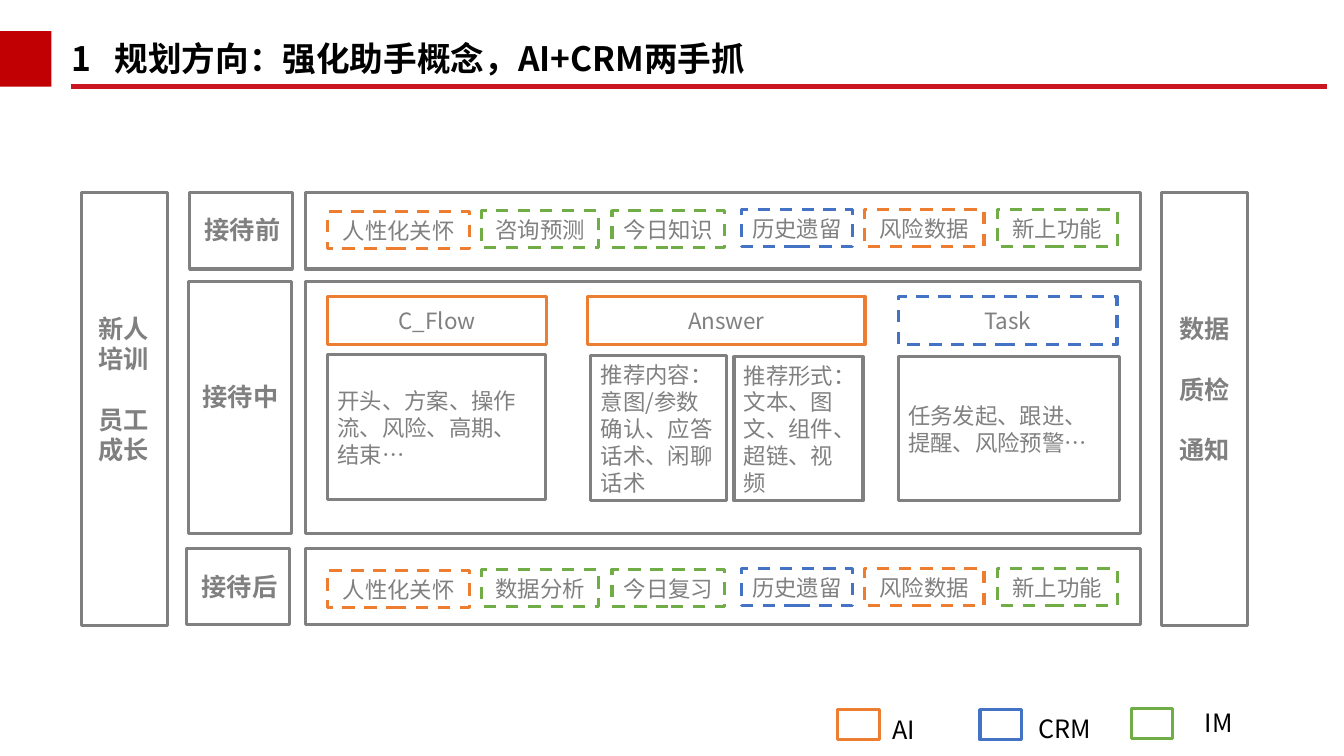
from dataclasses import dataclass

from lxml import etree
from pptx import Presentation
from pptx.dml.color import RGBColor
from pptx.enum.dml import MSO_LINE
from pptx.enum.shapes import MSO_CONNECTOR, MSO_SHAPE
from pptx.enum.text import MSO_ANCHOR, PP_ALIGN
from pptx.oxml.ns import qn
from pptx.util import Pt

PX = 9144
FONT = "Noto Sans CJK SC"
RECT = MSO_SHAPE.RECTANGLE
DASH = MSO_LINE.DASH
LEFT, MID = PP_ALIGN.LEFT, PP_ALIGN.CENTER
MIDDLE = MSO_ANCHOR.MIDDLE
HUES = {
    "ai": "ED7D31", "crm": "4472C4", "im": "70AD47", "gray": "808080",
    "side": "7F7F7F", "red": "C00002", "rule": "CA1622",
    "black": "000000", "white": "FFFFFF",
}


@dataclass
class Box:
    x: int
    y: int
    w: int
    h: int
    hue: str = "gray"
    text: str = ""
    dash: bool = False
    align: PP_ALIGN = MID


@dataclass
class Label:
    x: int
    y: int
    w: int
    h: int
    text: str
    size: int = 18
    hue: str = "gray"
    bold: bool = True
    align: PP_ALIGN = MID
    wrap: bool = True
    gap: float = 0


@dataclass
class Slot:
    x: int
    w: int
    drop: int
    hue: str


@dataclass
class Stage:
    x: int
    y: int
    h: int
    name: str
    left: int
    top: int


def color(hue: str) -> RGBColor:
    return RGBColor.from_string(HUES[hue])


def write(frame, text: str, size: int, hue: str, align: PP_ALIGN,
          bold: bool = False, gap: float = 0) -> None:
    frame.text = text
    frame.vertical_anchor = MIDDLE
    for i, para in enumerate(frame.paragraphs):
        para.alignment = align
        para.line_spacing = Pt(size * 1.2)
        para.space_before = Pt(gap if i else 0)
        for run in para.runs:
            font = run.font
            font.name, font.size, font.bold = FONT, Pt(size), bold
            font.color.rgb = color(hue)
            east = etree.SubElement(run._r.get_or_add_rPr(), qn("a:ea"))
            east.set("typeface", FONT)


def add_box(slide, box: Box):
    shape = slide.shapes.add_shape(
        RECT, box.x * PX, box.y * PX, box.w * PX, box.h * PX)
    shape.shadow.inherit = False
    shape.fill.solid()
    shape.fill.fore_color.rgb = color("white")
    shape.line.color.rgb = color(box.hue)
    shape.line.width = Pt(2.25)
    if box.dash:
        shape.line.dash_style = DASH
    if box.text:
        shape.text_frame.word_wrap = True
        write(shape.text_frame, box.text, 16, "gray", box.align)
    return shape


def add_label(slide, label: Label):
    shape = slide.shapes.add_textbox(
        label.x * PX, label.y * PX, label.w * PX, label.h * PX)
    frame = shape.text_frame
    frame.word_wrap = label.wrap
    write(frame, label.text, label.size, label.hue, label.align,
          label.bold, label.gap)
    return shape


def add_head(slide) -> None:
    rule = slide.shapes.add_connector(
        MSO_CONNECTOR.STRAIGHT, 70 * PX, 86 * PX, 1316 * PX, 86 * PX)
    rule.line.color.rgb = color("rule")
    rule.line.width = Pt(3.5)
    etree.SubElement(rule._element.spPr, qn("a:effectLst"))
    block = add_box(slide, Box(0, 31, 51, 55))
    block.fill.fore_color.rgb = color("red")
    block.line.fill.background()
    title = add_label(slide, Label(
        61, 36, 784, 43, "1\t规划方向：强化助手概念，AI+CRM两手抓",
        24, "black", align=LEFT))
    props = title.text_frame.paragraphs[0]._p.get_or_add_pPr()
    tabs = etree.SubElement(props, qn("a:tabLst"))
    tab = etree.SubElement(tabs, qn("a:tab"))
    tab.set("pos", str(43 * PX))
    tab.set("algn", "l")


SIDES = [
    Label(81, 305, 83, 162, "新人培训\n员工成长", gap=21.6),
    Label(1154, 305, 82, 162, "数据\n质检\n通知", gap=21.6),
]
STAGES = [
    Stage(188, 191, 76, "接待前", 190, 208),
    Stage(187, 279, 250, "接待中", 188, 373),
    Stage(185, 544, 76, "接待后", 187, 562),
]
SLOTS = [
    Slot(325, 141, 2, "ai"), Slot(478, 116, 1, "im"),
    Slot(607, 112, 1, "im"), Slot(735, 111, 0, "crm"),
    Slot(857, 119, 0, "ai"), Slot(989, 119, 0, "im"),
]
CHIPS = {
    208: ["人性化关怀", "咨询预测", "今日知识", "历史遗留", "风险数据", "新上功能"],
    564: ["人性化关怀", "数据分析", "今日复习", "历史遗留", "风险数据", "新上功能"],
}
CARDS = [
    Box(325, 352, 216, 144, text="开头、方案、操作流、风险、高期、结束…", align=LEFT),
    Box(891, 354, 219, 143, text="任务发起、跟进、提醒、风险预警…", align=LEFT),
    Box(325, 294, 217, 48, "ai", "C_Flow"),
    Box(891, 294, 217, 48, "crm", "Task", True),
    Box(583, 294, 275, 48, "ai", "Answer"),
    Box(586, 353, 135, 144, text="推荐内容：意图/参数确认、应答话术、闲聊话术", align=LEFT),
    Box(728, 354, 128, 143, text="推荐形式：文本、图文、组件、超链、视频", align=LEFT),
]
KEYS = [
    (Box(831, 704, 41, 30, "ai"), 875, 704, 45, "AI"),
    (Box(972, 704, 41, 30, "crm"), 1020, 703, 78, "CRM"),
    (Box(1122, 703, 41, 30, "im"), 1185, 697, 52, "IM"),
]


def main() -> None:
    deck = Presentation()
    deck.slide_width, deck.slide_height = 1333 * PX, 750 * PX
    slide = deck.slides.add_slide(deck.slide_layouts[6])
    add_head(slide)
    for x, side in zip((81, 1152), SIDES):
        add_box(slide, Box(x, 191, 85, 430, "side"))
        add_label(slide, side)
    for row in STAGES:
        add_box(slide, Box(303, row.y, 828, row.h))
        add_box(slide, Box(row.x, row.y, 102, row.h))
        add_label(slide, Label(row.left, row.top, 101, 40, row.name))
    for y, words in CHIPS.items():
        for slot, word in zip(SLOTS, words):
            add_box(slide, Box(slot.x, y + slot.drop, slot.w, 37,
                               slot.hue, word, True))
    for card in CARDS:
        add_box(slide, card)
    for box, x, y, w, name in KEYS:
        add_box(slide, box)
        add_label(slide, Label(x, y, w, 40, name, hue="black",
                               bold=False, align=LEFT, wrap=False))
    deck.save("out.pptx")


if __name__ == "__main__":
    main()
